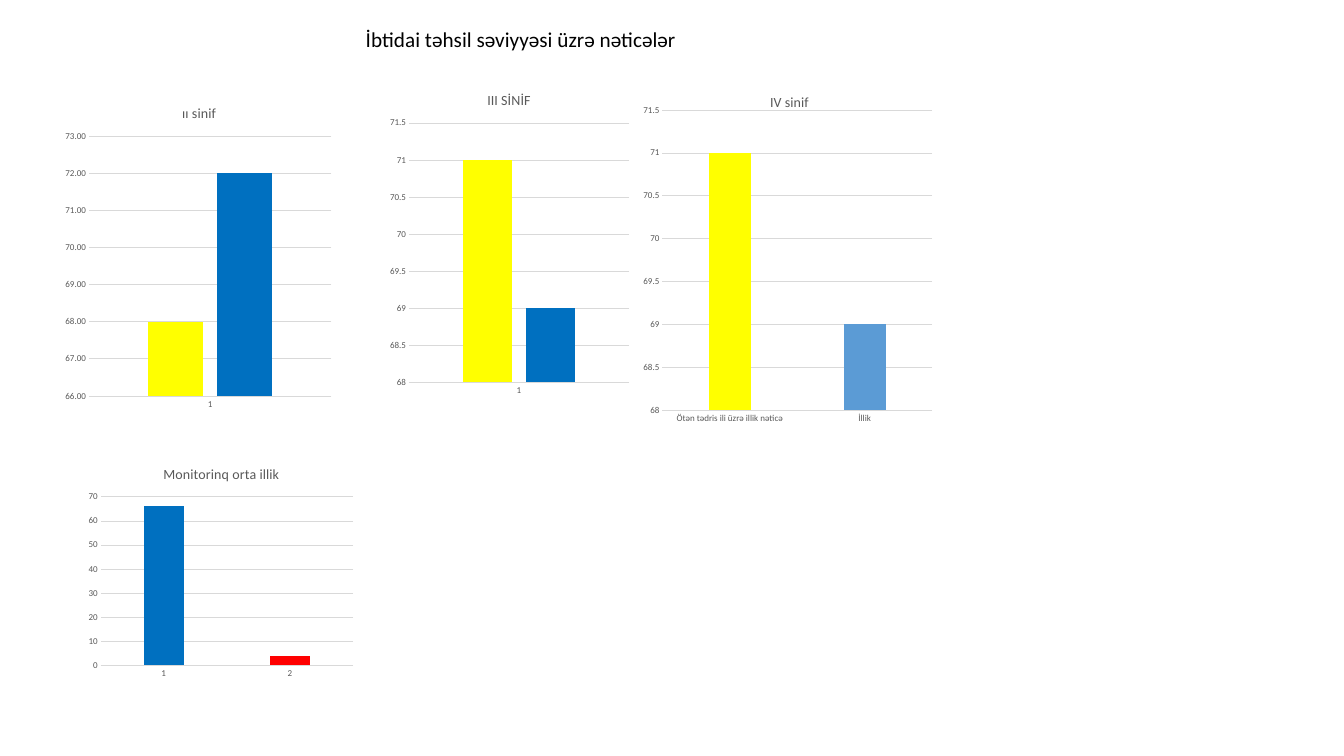
from pptx import Presentation
from pptx import util as u
from pptx.chart.data import CategoryChartData
from pptx.dml.color import RGBColor
from pptx.enum import chart as ch, text
from pptx.oxml import parse_xml
from pptx.oxml.ns import nsdecls, qn

FONT = "Calibri"
GREY, GRID = "595959", "D9D9D9"
YELLOW, BLUE, LIGHT_BLUE, RED = "FFFF00", "0070C0", "5B9BD5", "FF0000"

# Each series is (values, colour of each column); scale is (min, max, step)
CHARTS = [
    dict(title="ıı sinif", box=(2.16, 3.2, 9.73, 11.46), cats=["1"],
         series=[([68], [YELLOW]), ([72], [BLUE])],
         scale=(66, 73, 1), fmt="0.00", plot=(0.1, 0.14, 0.88, 0.8)),
    dict(title="III SİNİF", box=(13.54, 2.74, 8.84, 11.43), cats=["1"],
         series=[([71], [YELLOW]), ([69], [BLUE])],
         scale=(68, 71.5, 0.5), fmt="General", plot=(0.1, 0.14, 0.88, 0.8)),
    dict(title="Monitorinq orta illik", box=(2.97, 15.98, 9.68, 8.15), cats=["1", "2"],
         series=[([66, 4], [BLUE, RED])],
         scale=(0, 70, 10), fmt="General", plot=(0.06, 0.19, 0.92, 0.73)),
    dict(title="IV sinif", box=(22.38, 2.79, 10.95, 12.17),
         cats=["Ötən tədris ili üzrə illik nəticə", "İllik"],
         series=[([71, 69], [YELLOW, LIGHT_BLUE])],
         scale=(68, 71.5, 0.5), fmt="General", plot=(0.09, 0.09, 0.87, 0.87)),
]


def rgb(value):
    return RGBColor.from_string(value)


def apply(obj, formats):
    for name, value in formats.items():
        setattr(obj, name, value)


def set_font(font, size, colour):
    apply(font, dict(name=FONT, size=u.Pt(size), bold=False))
    font.color.rgb = rgb(colour)


def set_line(line, colour):
    line.color.rgb = rgb(colour)
    line.width = u.Pt(0.75)


def add_title(slide, words, box):
    sp = slide.shapes.title
    apply(sp, dict(zip(("left", "top", "width", "height"), map(u.Cm, box))))
    tf = sp.text_frame
    apply(tf, dict(word_wrap=True, auto_size=text.MSO_AUTO_SIZE.NONE,
                   vertical_anchor=text.MSO_ANCHOR.MIDDLE))
    p = tf.paragraphs[0]
    p.alignment = text.PP_ALIGN.LEFT
    r = p.add_run()
    r.text = words
    set_font(r.font, 21.2, "000000")


def place_plot(chart, plot):
    area = chart._chartSpace.chart.plotArea
    for old in area.findall(qn("c:layout")):
        area.remove(old)
    modes = '<c:xMode val="edge"/><c:yMode val="edge"/>'
    sizes = "".join(f'<c:{k} val="{v}"/>' for k, v in zip("xywh", plot))
    area.insert(0, parse_xml(
        f'<c:layout {nsdecls("c")}><c:manualLayout><c:layoutTarget val="inner"/>'
        f'{modes}{sizes}</c:manualLayout></c:layout>'))


def format_axes(chart, scale, fmt):
    cat, val = chart.category_axis, chart.value_axis
    for axis in (cat, val):
        apply(axis, dict(major_tick_mark=ch.XL_TICK_MARK.NONE,
                         minor_tick_mark=ch.XL_TICK_MARK.NONE))
        set_font(axis.tick_labels.font, 9, GREY)
    cat.has_major_gridlines = False
    set_line(cat.format.line, GRID)
    apply(val, dict(zip(("minimum_scale", "maximum_scale", "major_unit"), scale)))
    apply(val.tick_labels, dict(number_format=fmt, number_format_is_linked=False))
    val.has_major_gridlines = True
    set_line(val.major_gridlines.format.line, GRID)
    val.format.line.fill.background()


def add_column_chart(slide, title, box, cats, series, scale, fmt, plot):
    data = CategoryChartData()
    data.categories = cats
    for n, (values, _) in enumerate(series, 1):
        data.add_series(f"Series {n}", values)
    chart = slide.shapes.add_chart(
        ch.XL_CHART_TYPE.COLUMN_CLUSTERED, *map(u.Cm, box), data).chart
    set_font(chart.font, 10, "000000")
    apply(chart, dict(has_legend=False, has_title=True))

    # Heading
    p = chart.chart_title.text_frame.paragraphs[0]
    r = p.add_run()
    r.text = title
    set_font(r.font, 14, GREY)
    chart.chart_title.include_in_layout = False

    # Columns
    columns = chart.plots[0]
    apply(columns, dict(gap_width=219, overlap=-27, vary_by_categories=False))
    for s, (_, colours) in zip(columns.series, series):
        s.invert_if_negative = False
        for i, colour in enumerate(colours):
            fill = s.points[i].format.fill
            fill.solid()
            fill.fore_color.rgb = rgb(colour)

    format_axes(chart, scale, fmt)
    place_plot(chart, plot)


def main():
    prs = Presentation()
    apply(prs, dict(slide_width=u.Cm(47.42), slide_height=u.Cm(26.67)))
    slide = prs.slides.add_slide(prs.slide_layouts[5])
    add_title(slide, "İbtidai təhsil səviyyəsi üzrə nəticələr", (12.65, 0.79, 16.81, 1.17))
    for chart in CHARTS:
        add_column_chart(slide, **chart)
    prs.save("out.pptx")


if __name__ == "__main__":
    main()
